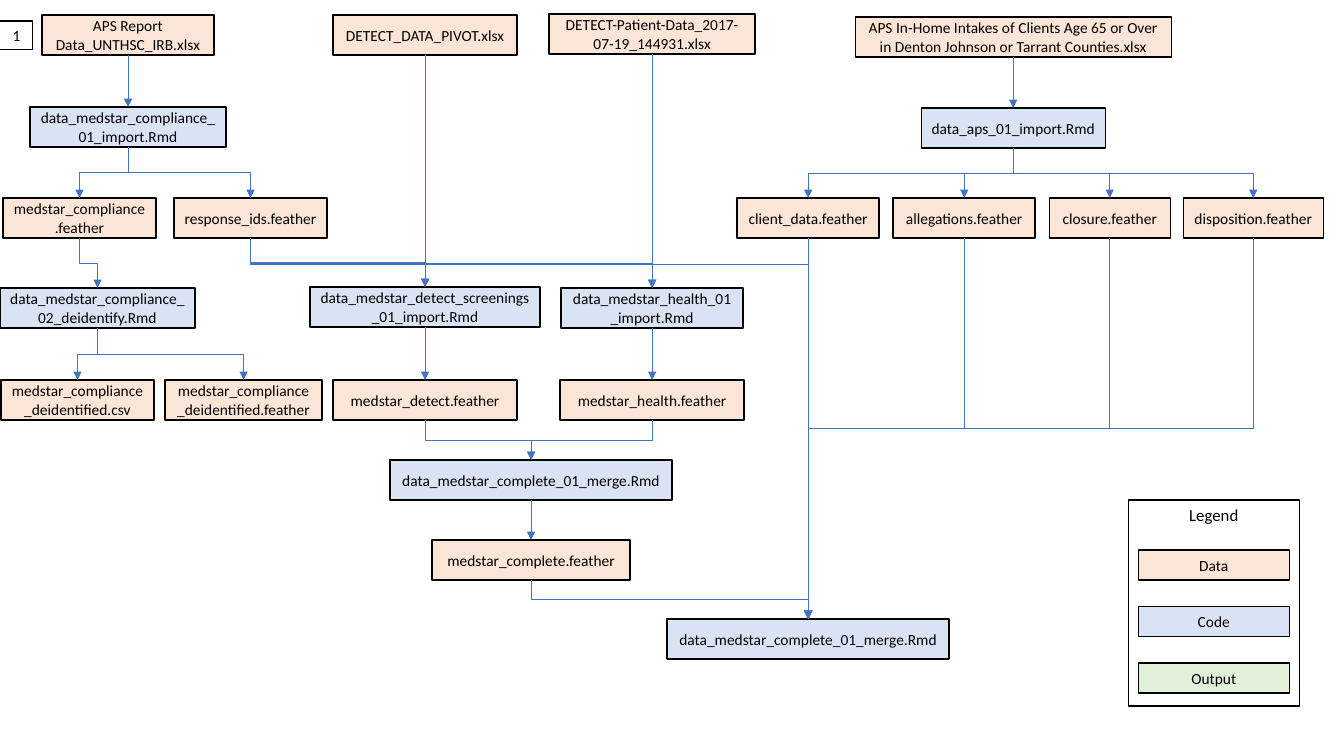
from lxml import etree
from pptx import Presentation
from pptx.dml.color import RGBColor
from pptx.enum.shapes import MSO_CONNECTOR, MSO_SHAPE
from pptx.enum.text import MSO_ANCHOR, PP_ALIGN
from pptx.oxml.ns import qn
from pptx.util import Emu, Inches, Pt

RECTANGLE = MSO_SHAPE.RECTANGLE
STRAIGHT, ELBOW = MSO_CONNECTOR.STRAIGHT, MSO_CONNECTOR.ELBOW
TOP, MIDDLE = MSO_ANCHOR.TOP, MSO_ANCHOR.MIDDLE
CENTER = PP_ALIGN.CENTER
TOP_SITE, BOTTOM_SITE = 0, 2
EMU_PER_PIXEL = 914400 / 100.8
BOX_HEIGHT = 40
COLORS = {
    "data": "FBE5D6",
    "code": "DAE3F3",
    "output": "E2F0D9",
    "panel": "FFFFFF",
    "ink": "000000",
    "arrow": "4472C4",
}


def px(value):
    return Emu(round(value * EMU_PER_PIXEL))


def color(name):
    return RGBColor.from_string(COLORS[name])


class FlowSlide:
    font_name = "Calibri"

    def __init__(self, slide):
        self.slide = slide
        self.shapes = slide.shapes

    def start_group(self):
        self.shapes = self.slide.shapes.add_group_shape().shapes

    def box(self, text, fill, left, top, width, height=BOX_HEIGHT,
            size=11, line=1, anchor=MIDDLE):
        shape = self.shapes.add_shape(RECTANGLE, px(left), px(top), px(width), px(height))
        shape.shadow.inherit = False
        if fill:
            shape.fill.solid()
            shape.fill.fore_color.rgb = color(fill)
        else:
            shape.fill.background()
        shape.line.color.rgb = color("ink")
        shape.line.width = Pt(line)
        frame = shape.text_frame
        frame.word_wrap = True
        frame.vertical_anchor = anchor
        paragraph = frame.paragraphs[0]
        paragraph.text = text
        paragraph.alignment = CENTER
        paragraph.font.name = self.font_name
        paragraph.font.size = Pt(size)
        paragraph.font.color.rgb = color("ink")
        return shape

    def arrow(self, source, target, bend=0.5):
        start_x, start_y = source.left + source.width // 2, source.top + source.height
        end_x, end_y = target.left + target.width // 2, target.top
        across, down = end_x - start_x, end_y - start_y
        straight = abs(across) < px(1)
        connector = self.shapes.add_connector(
            STRAIGHT if straight else ELBOW, start_x, start_y, end_x, end_y)
        connector.begin_connect(source, BOTTOM_SITE)
        connector.end_connect(target, TOP_SITE)
        if not straight:
            self.turn_downward(connector, across, down, bend)
        connector.line.color.rgb = color("arrow")
        connector.line.width = Pt(0.5)
        etree.SubElement(connector.line._get_or_add_ln(), qn("a:tailEnd"), type="triangle")
        etree.SubElement(connector._element.spPr, qn("a:effectLst"))

    def turn_downward(self, connector, across, down, bend):
        center_x = connector.left + connector.width // 2
        center_y = connector.top + connector.height // 2
        connector.width, connector.height = down, abs(across)
        connector.left = center_x - down // 2
        connector.top = center_y - abs(across) // 2
        properties = connector._element.spPr
        transform = properties.find(qn("a:xfrm"))
        transform.attrib.pop("flipH", None)
        transform.set("rot", str((270 if across > 0 else 90) * 60000))
        if across > 0:
            transform.set("flipH", "1")
        adjustments = properties.find(qn("a:prstGeom")).find(qn("a:avLst"))
        etree.SubElement(adjustments, qn("a:gd"), name="adj1",
                         fmla=f"val {round(bend * 100000)}")


presentation = Presentation()
presentation.slide_width, presentation.slide_height = Inches(13.33), Inches(7.5)
flow = FlowSlide(presentation.slides.add_slide(presentation.slide_layouts[6]))

BOXES = {
    "aps_report": ("APS Report Data_UNTHSC_IRB.xlsx", "data", 42, 15, 172),
    "pivot": ("DETECT_DATA_PIVOT.xlsx", "data", 333, 15, 184),
    "patients": ("DETECT-Patient-Data_2017-07-19_144931.xlsx", "data", 549, 14, 206),
    "intakes": ("APS In-Home Intakes of Clients Age 65 or Over in Denton Johnson "
                "or Tarrant Counties.xlsx", "data", 855, 17, 316),
    "compliance_import": ("data_medstar_compliance_01_import.Rmd", "code", 30, 107, 196),
    "aps_import": ("data_aps_01_import.Rmd", "code", 921, 108, 184),
    "compliance": ("medstar_compliance.feather", "data", 3, 198, 153),
    "responses": ("response_ids.feather", "data", 174, 198, 153),
    "clients": ("client_data.feather", "data", 737, 198, 142),
    "allegations": ("allegations.feather", "data", 893, 198, 142),
    "closure": ("closure.feather", "data", 1049, 198, 121),
    "disposition": ("disposition.feather", "data", 1183, 198, 140),
    "deidentify": ("data_medstar_compliance_02_deidentify.Rmd", "code", 0, 288, 195),
    "detect_import": ("data_medstar_detect_screenings_01_import.Rmd", "code", 310, 287, 230),
    "health_import": ("data_medstar_health_01_import.Rmd", "code", 561, 288, 182),
    "deidentified_csv": ("medstar_compliance_deidentified.csv", "data", 1, 380, 153),
    "deidentified": ("medstar_compliance_deidentified.feather", "data", 165, 380, 157),
    "detect": ("medstar_detect.feather", "data", 333, 380, 184),
    "health": ("medstar_health.feather", "data", 560, 380, 184),
    "merge": ("data_medstar_complete_01_merge.Rmd", "code", 390, 460, 282),
    "complete": ("medstar_complete.feather", "data", 432, 540, 198),
    "final_merge": ("data_medstar_complete_01_merge.Rmd", "code", 667, 619, 282),
}
TARGETS = {
    "aps_report": ["compliance_import"],
    "pivot": ["detect_import"],
    "patients": ["health_import"],
    "intakes": ["aps_import"],
    "compliance_import": ["compliance", "responses"],
    "aps_import": ["clients", "allegations", "closure", "disposition"],
    "compliance": ["deidentify"],
    "responses": ["detect_import", "health_import"],
    "deidentify": ["deidentified_csv", "deidentified"],
    "detect_import": ["detect"],
    "health_import": ["health"],
    "detect": ["merge"],
    "health": ["merge"],
    "merge": ["complete"],
    "complete": ["final_merge"],
    "clients": ["final_merge"],
    "allegations": ["final_merge"],
    "closure": ["final_merge"],
    "disposition": ["final_merge"],
}

nodes = {name: flow.box(*values) for name, values in BOXES.items()}
for source, targets in TARGETS.items():
    for target in targets:
        flow.arrow(nodes[source], nodes[target])
flow.arrow(nodes["responses"], nodes["final_merge"], bend=0.07)

flow.box("1", None, 0, 21, 33, 29, line=0.75, anchor=TOP)

flow.start_group()
flow.box("Legend", "panel", 1128, 500, 171, 206, size=12, anchor=TOP)
for row, label in enumerate(["Data", "Code", "Output"]):
    flow.box(label, label.lower(), 1138, 550 + row * 56.5, 151, 30)

presentation.save("out.pptx")
